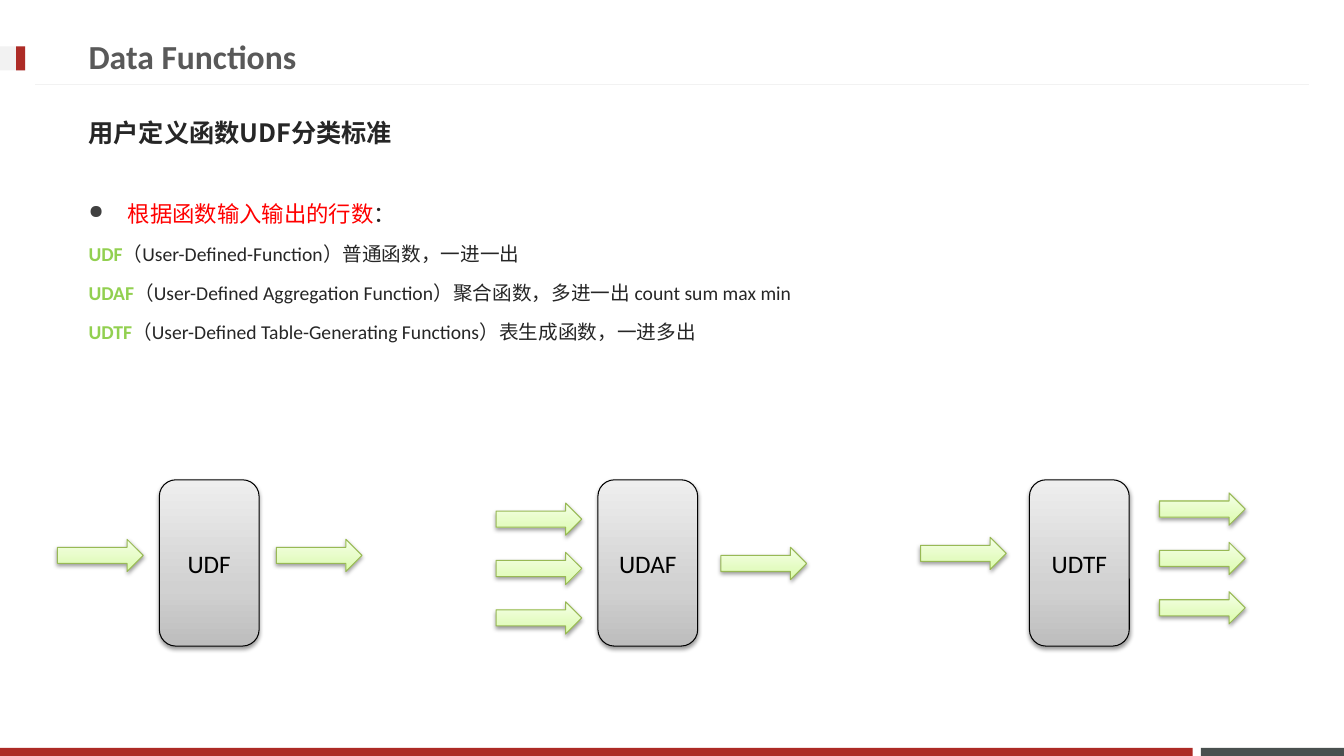
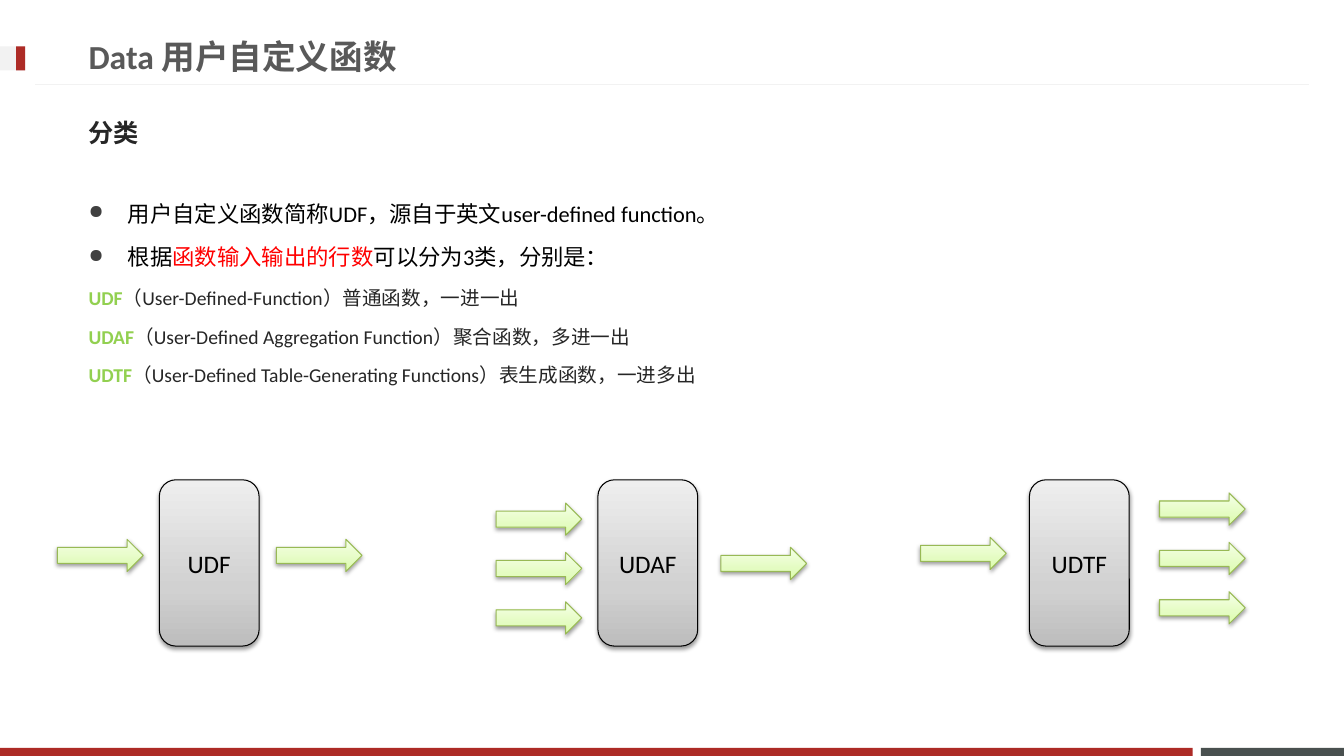
from lxml import etree
from pptx import Presentation
from pptx.dml.color import RGBColor
from pptx.enum.shapes import MSO_CONNECTOR as Connector, MSO_SHAPE as Shape
from pptx.enum.text import MSO_ANCHOR as Anchor, PP_ALIGN as Align
from pptx.oxml import parse_xml
from pptx.oxml.ns import nsdecls, qn
from pptx.util import Inches, Pt

COLORS = {
    "red": "AD2B26", "slate": "49504F", "pale": "F2F2F2",
    "title": "595959", "text": "262626", "bullet": "404040",
    "black": "000000", "accent": "FF0000", "green": "92D050", "leaf": "98B955",
}
GRAY_STOPS = ((0, "BDBDBD"), (35, "D1D1D1"), (100, "EEEEEE"))
GREEN_STOPS = ((0, "DAFDA7"), (35, "E4FCC2"), (100, "F5FFE7"))
FONT = "Calibri"
CJK_FONT = "Noto Sans CJK JP"
ARROW_STEP = 0.49


def color(name):
    return RGBColor.from_string(COLORS[name])


def add_span(para, text, size=14, name="text", bold=False, font=FONT):
    span = para.add_run()
    span.text = text
    span.font.size = Pt(size)
    span.font.bold = bold
    span.font.name = font
    span.font.color.rgb = color(name)
    etree.SubElement(span.font._element, qn("a:ea")).set("typeface", font)


def add_bullet(para):
    props = para._p.get_or_add_pPr()
    props.set("marL", str(Inches(0.39)))
    props.set("indent", str(-Inches(0.39)))
    tint = etree.SubElement(props, qn("a:buClr"))
    etree.SubElement(tint, qn("a:srgbClr")).set("val", COLORS["bullet"])
    etree.SubElement(props, qn("a:buSzPct")).set("val", "85000")
    etree.SubElement(props, qn("a:buChar")).set("char", "●")


class SlideBuilder:
    def __init__(self):
        self.deck = Presentation()
        self.deck.slide_width = Inches(13.33)
        self.deck.slide_height = Inches(7.5)
        self.page = None

    def start(self, title, subtitle):
        self.page = self.deck.slides.add_slide(self.deck.slide_layouts[6])
        self.band(11.91, 7.42, 1.42, 0.08, "slate")
        self.band(0, 7.42, 11.83, 0.08, "red")
        self.rule(12.98, 0.35, 0.84)
        self.band(0, 0.46, 0.25, 0.24, "pale")
        self.band(0.16, 0.46, 0.09, 0.24, "red")
        self.heading(title, 0.27, 9.59, size=24, name="title")
        self.heading(subtitle, 1.03, 11.76, size=18, font=CJK_FONT)

    def shape(self, kind, left, top, width, height):
        box = self.page.shapes.add_shape(
            kind, Inches(left), Inches(top), Inches(width), Inches(height))
        box.shadow.inherit = False
        return box

    def band(self, left, top, width, height, name):
        box = self.shape(Shape.RECTANGLE, left, top, width, height)
        box.fill.solid()
        box.fill.fore_color.rgb = color(name)
        box.line.fill.background()

    def rule(self, start, end, top):
        line = self.page.shapes.add_connector(
            Connector.STRAIGHT, Inches(start), Inches(top), Inches(end), Inches(top))
        line.line.color.rgb = color("pale")
        line.line.width = Pt(0.75)
        etree.SubElement(line._element.spPr, qn("a:effectLst"))

    def frame(self, top, width, height, anchor):
        box = self.page.shapes.add_textbox(
            Inches(0.78), Inches(top), Inches(width), Inches(height))
        box.text_frame.word_wrap = True
        box.text_frame.vertical_anchor = anchor
        return box.text_frame

    def heading(self, text, top, width, **style):
        frame = self.frame(top, width, 0.57, Anchor.MIDDLE)
        add_span(frame.paragraphs[0], text, bold=True, **style)

    def body(self, bullets, terms):
        frame = self.frame(1.8, 11.76, 4.61, Anchor.TOP)
        lines = [(True, [(text, {"size": 16, "name": name}) for text, name in spans])
                 for spans in bullets]
        lines += [(False, [(term, {"name": "green", "bold": True}), (meaning, {})])
                  for term, meaning in terms]
        for index, (bulleted, spans) in enumerate(lines):
            para = frame.add_paragraph() if index else frame.paragraphs[0]
            para.line_spacing = 1.5
            para.space_before = Pt(2.5)
            if bulleted:
                add_bullet(para)
            for text, style in spans:
                add_span(para, text, **style)

    def raised(self, kind, left, top, width, height, stops, outline):
        box = self.shape(kind, left, top, width, height)
        box.fill.solid()
        marks = "".join(f'<a:gs pos="{place * 1000}"><a:srgbClr val="{tint}"/></a:gs>'
                        for place, tint in stops)
        props = box._element.spPr
        props.replace(props.find(qn("a:solidFill")), parse_xml(
            f'<a:gradFill {nsdecls("a")} rotWithShape="1"><a:gsLst>{marks}</a:gsLst>'
            '<a:lin ang="16200000" scaled="0"/></a:gradFill>'))
        box.line.color.rgb = color(outline)
        box.line.width = Pt(0.75)
        props.find(qn("a:effectLst")).append(parse_xml(
            f'<a:outerShdw {nsdecls("a")} blurRad="{Pt(3.1)}" dist="{Pt(1.6)}" '
            'dir="5400000" rotWithShape="0"><a:srgbClr val="000000">'
            '<a:alpha val="38000"/></a:srgbClr></a:outerShdw>'))
        return box

    def node(self, label, left):
        box = self.raised(Shape.ROUNDED_RECTANGLE, left, 4.76, 0.99, 1.65,
                          GRAY_STOPS, "black")
        box.text_frame.vertical_anchor = Anchor.MIDDLE
        para = box.text_frame.paragraphs[0]
        para.alignment = Align.CENTER
        add_span(para, label, size=18, name="black")

    def arrows(self, left, top, count):
        for index in range(count):
            self.raised(Shape.RIGHT_ARROW, left, top + index * ARROW_STEP, 0.85, 0.32,
                        GREEN_STOPS, "leaf")

    def flows(self):
        for label, left, inputs, outputs in FLOWS:
            self.node(label, left)
            self.arrows(*inputs)
            self.arrows(*outputs)


FLOWS = (
    ("UDF", 1.58, (0.57, 5.35, 1), (2.74, 5.35, 1)),
    ("UDAF", 5.93, (4.92, 4.99, 3), (7.15, 5.43, 1)),
    ("UDTF", 10.21, (9.13, 5.33, 1), (11.5, 4.89, 3)),
)


def function_terms(examples=""):
    return (
        ("UDF", "（User-Defined-Function）普通函数，一进一出"),
        ("UDAF", "（User-Defined Aggregation Function）聚合函数，多进一出" + examples),
        ("UDTF", "（User-Defined Table-Generating Functions）表生成函数，一进多出"),
    )


def main():
    builder = SlideBuilder()

    builder.start("Data Functions", "用户定义函数UDF分类标准")
    builder.body([[("根据函数输入输出的行数", "accent"), ("：", "text")]],
                 function_terms(" count sum max min"))
    builder.flows()

    builder.start("Data 用户自定义函数", "分类")
    builder.body([
        [("用户自定义函数简称UDF，源自于英文user-defined function。", "black")],
        [("根据", "black"), ("函数输入输出的行数", "accent"),
         ("可以分为3类，分别是：", "black")],
    ], function_terms())
    builder.flows()

    builder.deck.save("out.pptx")


if __name__ == "__main__":
    main()
